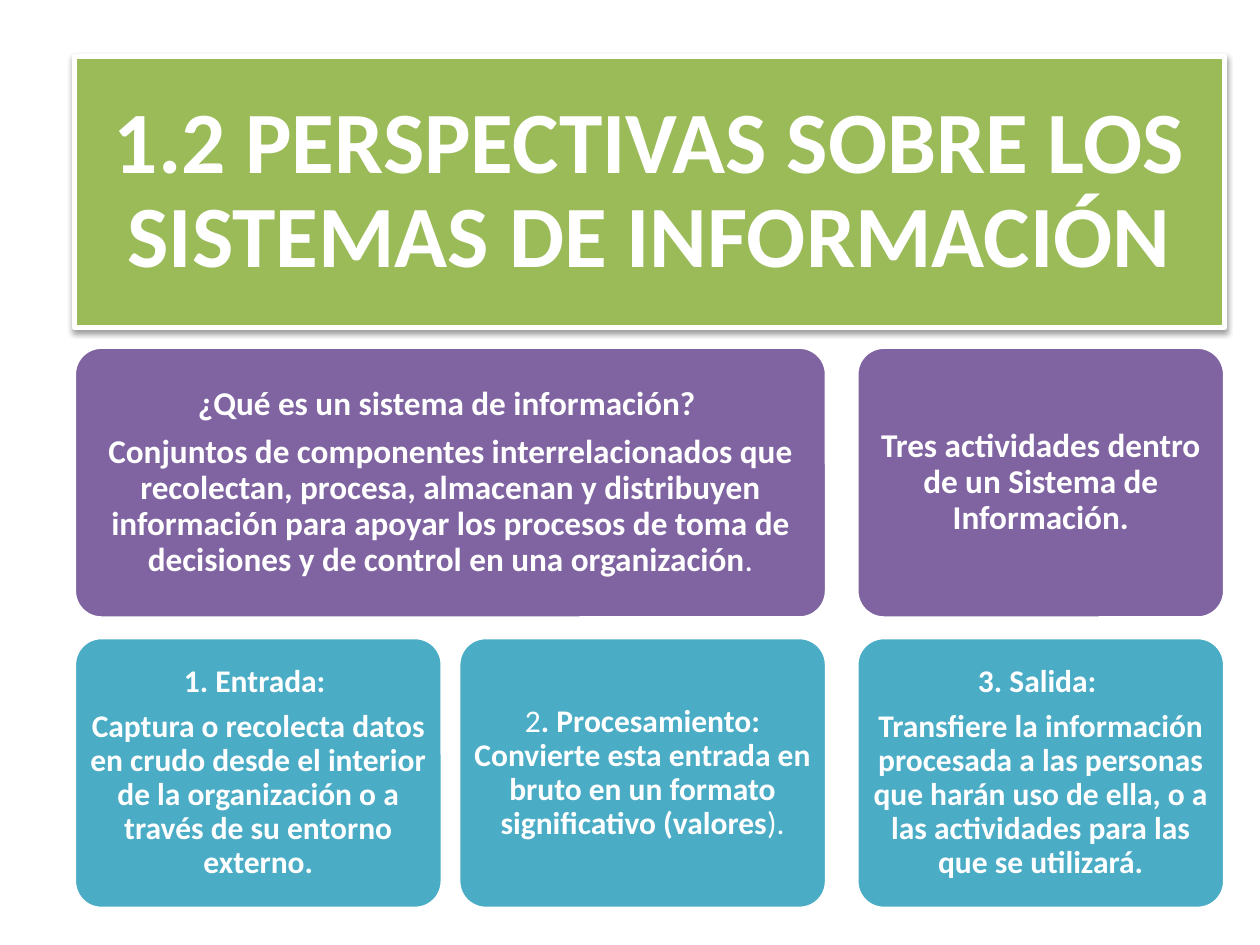
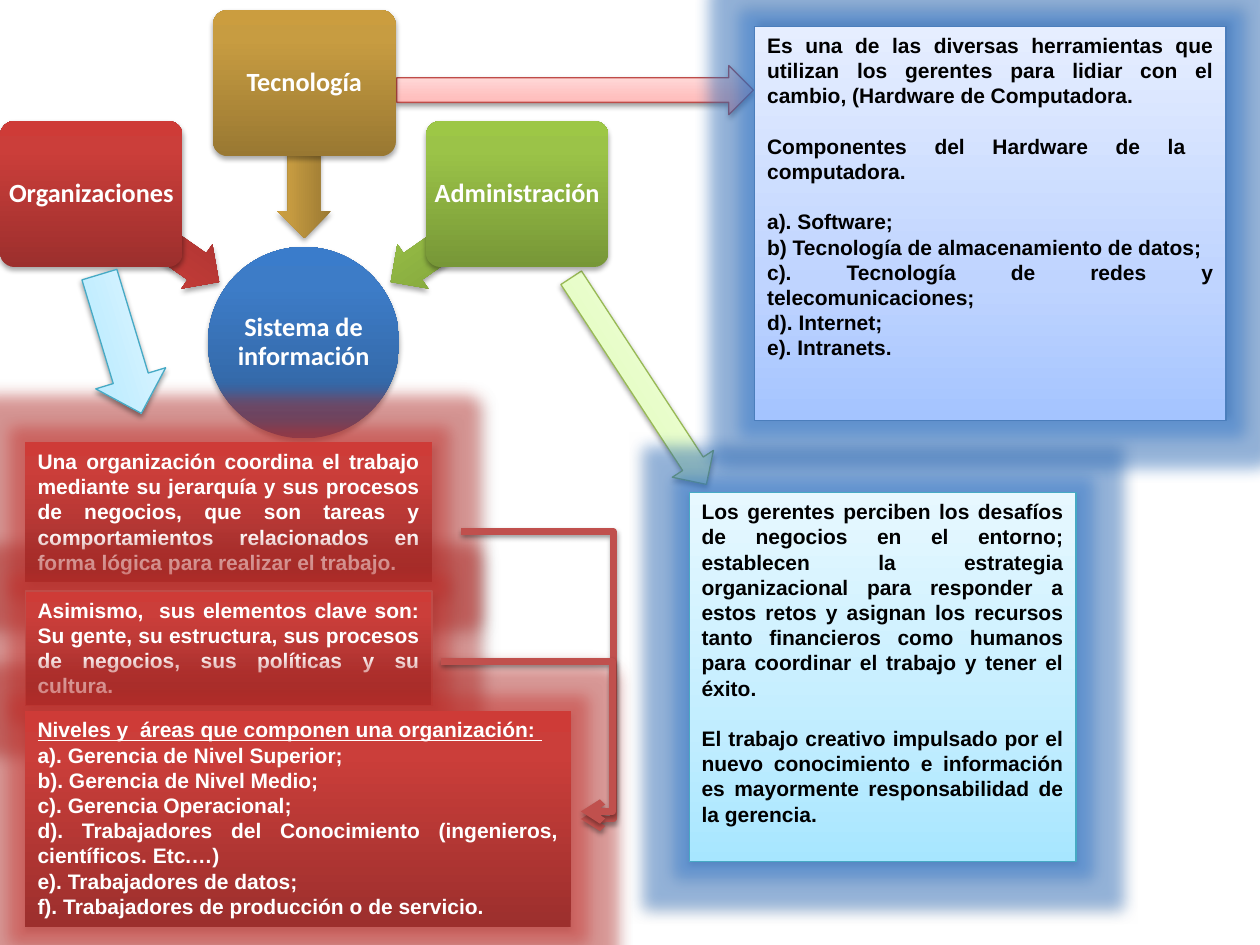
"""Build two slides on the perspectives of information systems."""
from dataclasses import dataclass

from lxml import etree
from pptx import Presentation
from pptx.dml.color import RGBColor
from pptx.enum.shapes import MSO_CONNECTOR, MSO_SHAPE
from pptx.enum.text import MSO_ANCHOR, MSO_AUTO_SIZE, PP_ALIGN
from pptx.oxml.ns import qn
from pptx.util import Inches, Pt

ROUNDED = MSO_SHAPE.ROUNDED_RECTANGLE
RECTANGLE = MSO_SHAPE.RECTANGLE
OVAL = MSO_SHAPE.OVAL
RIGHT_ARROW = MSO_SHAPE.RIGHT_ARROW
LEFT_ARROW = MSO_SHAPE.LEFT_ARROW
ELBOW = MSO_CONNECTOR.ELBOW
CENTER = PP_ALIGN.CENTER
JUSTIFY = PP_ALIGN.JUSTIFY
TOP = MSO_ANCHOR.TOP
MIDDLE = MSO_ANCHOR.MIDDLE
TITLE_ONLY_LAYOUT = 5
BLANK_LAYOUT = 6


@dataclass(frozen=True)
class Theme:
    """Colours, fonts, type sizes and effects of the deck."""

    white: str = "FFFFFF"
    black: str = "000000"
    green: str = "9BBB59"
    purple: str = "8064A2"
    teal: str = "4BACC6"
    red: str = "C0504D"
    red_line: str = "BF4C48"
    green_line: str = "98B955"
    teal_line: str = "46AAC5"
    blue_line: str = "4B7EBC"
    red_glow: str = "D2322D"
    blue_glow: str = "2F7BD8"
    strong_stops: tuple = (0, 80, 100)
    soft_stops: tuple = (0, 35, 100)
    strong_red: tuple = ("9C2F2D", "CB3E3A", "CE3B37")
    strong_gold: tuple = ("997832", "C79C41", "CB9D3F")
    strong_green: tuple = ("779737", "9BC348", "9DC746")
    strong_blue: tuple = ("2F5F99", "3D7CC7", "3A7CCB")
    soft_red: tuple = ("FFA6A5", "FFC0BF", "FFE7E7")
    soft_green: tuple = ("DAFDA7", "E4FCC2", "F5FFE7")
    soft_teal: tuple = ("A7E6FF", "C1EDFF", "E7F8FF")
    soft_blue: tuple = ("A4C4FF", "BFD4FF", "E6EEFF")
    soft_shadow: tuple = (38, 3.1, 1.6, 90)
    strong_shadow: tuple = (35, 3.1, 1.8, 90)
    lower_shadow: tuple = (40, 4, 3, 45)
    upper_shadow: tuple = (40, 4, 3, 315)
    glow_radius: float = 18
    heading_font: str = "Calibri"
    note_font: str = "Arial"
    title_size: int = 50
    question_size: int = 19
    activity_size: int = 18
    pillar_size: int = 15
    note_size: int = 12
    note_pitch: float = 14.4


class Deck:
    """Holds the theme and the current slide and draws each kind of element."""

    def __init__(self, theme):
        """Start an empty 10 by 7.5 inch presentation."""
        self.theme = theme
        self.presentation = Presentation()
        self.presentation.slide_width = Inches(10)
        self.presentation.slide_height = Inches(7.5)
        self.slide = None

    def new_slide(self, layout):
        """Add a slide and make it current."""
        layouts = self.presentation.slide_layouts
        self.slide = self.presentation.slides.add_slide(layouts[layout])

    def color(self, parent, value, alpha):
        """Append a partly transparent colour element."""
        color = etree.SubElement(parent, qn("a:srgbClr"), val=value)
        etree.SubElement(color, qn("a:alpha"), val=str(alpha * 1000))

    def effects(self, shape, shadow=None, glow=None):
        """Give a shape only the stated glow and shadow."""
        properties = shape._element.spPr
        effects = properties.find(qn("a:effectLst"))
        if effects is None:
            effects = etree.SubElement(properties, qn("a:effectLst"))
        if glow:
            radius = str(Pt(self.theme.glow_radius))
            self.color(etree.SubElement(effects, qn("a:glow"), rad=radius), glow, 40)
        if shadow:
            alpha, blur, distance, angle = shadow
            outer = etree.SubElement(
                effects, qn("a:outerShdw"), blurRad=str(Pt(blur)), dist=str(Pt(distance)),
                dir=str(angle * 60000), rotWithShape="0")
            self.color(outer, self.theme.black, alpha)

    def paint(self, shape, fill, line=None, width=0.75, shadow=None, glow=None):
        """Set fill (a colour or three gradient colours), outline and effects."""
        if isinstance(fill, str):
            shape.fill.solid()
            shape.fill.fore_color.rgb = RGBColor.from_string(fill)
        else:
            shape.fill.gradient()
            shape.fill.gradient_angle = 90
            stop_list = shape._element.spPr.find(qn("a:gradFill")).find(qn("a:gsLst"))
            for stop in list(stop_list):
                stop_list.remove(stop)
            soft = fill[-1].startswith(("F", "E"))
            positions = self.theme.soft_stops if soft else self.theme.strong_stops
            for position, value in zip(positions, fill):
                stop = etree.SubElement(stop_list, qn("a:gs"), pos=str(position * 1000))
                etree.SubElement(stop, qn("a:srgbClr"), val=value)
        if line:
            shape.line.color.rgb = RGBColor.from_string(line)
            shape.line.width = Pt(width)
        else:
            shape.line.fill.background()
        shape.shadow.inherit = False
        self.effects(shape, shadow, glow)

    def shape(self, kind, box, fill, rotation=0, adjustments=(), **style):
        """Draw a preset shape in a box given in inches."""
        shape = self.slide.shapes.add_shape(kind, *map(Inches, box))
        shape.rotation = rotation
        for index, value in enumerate(adjustments):
            shape.adjustments[index] = value
        self.paint(shape, fill, **style)
        return shape

    def frame(self, shape, anchor, horizontal, vertical):
        """Set wrapping, anchor and insets of a text frame."""
        frame = shape.text_frame
        frame.word_wrap = True
        frame.auto_size = MSO_AUTO_SIZE.NONE
        frame.vertical_anchor = anchor
        frame.margin_left = frame.margin_right = Inches(horizontal)
        frame.margin_top = frame.margin_bottom = Inches(vertical)
        return frame

    def font(self, run, name, size, color, bold=True):
        """Format one run."""
        run.font.name = name
        run.font.size = Pt(size)
        run.font.bold = bold
        run.font.color.rgb = RGBColor.from_string(color)

    def label(self, shape, paragraphs, size, margin=0):
        """Write centred white paragraphs, each a list of (text, bold) runs."""
        frame = self.frame(shape, MIDDLE, margin, margin)
        for index, runs in enumerate(paragraphs):
            paragraph = frame.add_paragraph() if index else frame.paragraphs[0]
            paragraph.alignment = CENTER
            paragraph.line_spacing = 0.9
            paragraph.space_after = Pt(round(size * 0.35))
            for text, bold in runs:
                run = paragraph.add_run()
                run.text = text
                self.font(run, self.theme.heading_font, size, self.theme.white, bold)

    def title(self, text, box):
        """Turn the title placeholder into a rounded banner."""
        theme = self.theme
        banner = self.slide.shapes.title
        banner.left, banner.top, banner.width, banner.height = map(Inches, box)
        geometry = etree.Element(qn("a:prstGeom"), prst="roundRect")
        guides = etree.SubElement(geometry, qn("a:avLst"))
        etree.SubElement(guides, qn("a:gd"), name="adj", fmla="val 10000")
        banner._element.spPr.find(qn("a:xfrm")).addnext(geometry)
        self.paint(banner, theme.green, theme.white, 3, theme.soft_shadow)
        self.label(banner, [[(text, True)]], theme.title_size, 0.15)

    def card(self, box, fill, paragraphs, size):
        """Draw a flat rounded card with centred text."""
        card = self.shape(ROUNDED, box, fill, adjustments=[0.1], line=self.theme.white, width=2)
        self.label(card, paragraphs, size, 0.02)

    def note(self, box, fill, color, paragraphs, gaps=(), **style):
        """Draw a glowing box of justified text with gaps before some paragraphs."""
        theme = self.theme
        note = self.shape(RECTANGLE, box, fill, **style)
        frame = self.frame(note, TOP, 0.1, 0.05)
        frame.text = "\n".join(paragraphs)
        for index, paragraph in enumerate(frame.paragraphs):
            paragraph.alignment = JUSTIFY
            paragraph.line_spacing = Pt(theme.note_pitch)
            if index in gaps:
                paragraph.space_before = Pt(theme.note_pitch)
            for run in paragraph.runs:
                self.font(run, theme.note_font, theme.note_size, color)
        return note

    def elbow(self, start, end, bend):
        """Draw a bent arrow whose middle leg lies at a share of its width."""
        points = map(Inches, (*start, *end))
        connector = self.slide.shapes.add_connector(ELBOW, *points)
        guides = connector._element.spPr.find(qn("a:prstGeom")).get_or_add_avLst()
        etree.SubElement(guides, qn("a:gd"), name="adj1", fmla=f"val {round(bend * 100000)}")
        connector.line.color.rgb = RGBColor.from_string(self.theme.red)
        connector.line.width = Pt(4)
        line = connector._element.spPr.find(qn("a:ln"))
        etree.SubElement(line, qn("a:tailEnd"), type="arrow")
        self.effects(connector, self.theme.soft_shadow)


def build_perspectives(deck):
    """Build the slide that defines an information system."""
    theme = deck.theme
    deck.new_slide(TITLE_ONLY_LAYOUT)
    left, middle, right = 0.59, 3.64, 6.8
    width, height = 2.92, 2.15
    top_row, question_row, activity_row = (0.45 + 2.305 * row for row in range(3))
    deck.title("1.2 PERSPECTIVAS SOBRE LOS SISTEMAS DE INFORMACIÓN",
               (left, top_row, right + width - left, height))
    definition = (
        "Conjuntos de componentes interrelacionados que recolectan, procesa, almacenan y "
        "distribuyen información para apoyar los procesos de toma de decisiones y de control "
        "en una organización")
    questions = [
        (left, middle + width - left, [[("¿Qué es un sistema de información? ", True)],
                                       [(definition, True), (".", False)]]),
        (right, width, [[("Tres actividades dentro de un Sistema de Información.", True)]]),
    ]
    for x, card_width, paragraphs in questions:
        deck.card((x, question_row, card_width, height), theme.purple, paragraphs,
                  theme.question_size)
    activities = [
        (left, [[("1. Entrada: ", True)],
                [("Captura o recolecta datos en crudo desde el interior de la organización "
                  "o a través de su entorno externo.", True)]]),
        (middle, [[("2", False),
                   (". Procesamiento: Convierte esta entrada en bruto en un formato "
                    "significativo (valores", True),
                   (").", False)]]),
        (right, [[("3. Salida: ", True)],
                 [("Transfiere la información procesada a las personas que harán uso de ella, "
                   "o a las actividades para las que se utilizará.", True)]]),
    ]
    for x, paragraphs in activities:
        deck.card((x, activity_row, width, height), theme.teal, paragraphs, theme.activity_size)


def build_dimensions(deck):
    """Build the slide on organizations, technology and management."""
    theme = deck.theme
    deck.new_slide(BLANK_LAYOUT)
    deck.shape(RIGHT_ARROW, (3.15, 0.52, 2.83, 0.39), theme.soft_red,
               line=theme.red_line, shadow=theme.soft_shadow)
    deck.shape(RIGHT_ARROW, (4.09, 2.83, 1.96, 0.39), theme.soft_green, 56.8,
               line=theme.green_line, shadow=theme.soft_shadow)
    system = deck.shape(OVAL, (1.65, 1.96, 1.52, 1.52), theme.strong_blue,
                        shadow=theme.strong_shadow)
    deck.label(system, [[("Sistema de información", True)]], theme.pillar_size)
    pillars = [
        ("Organizaciones", theme.strong_red, (0, 0.96), (0.62, 1.67), 215),
        ("Tecnología", theme.strong_gold, (1.69, 0.08), (1.8, 1.06), 270),
        ("Administración", theme.strong_green, (3.38, 0.96), (2.99, 1.67), 325),
    ]
    for name, fill, corner, arrow_corner, rotation in pillars:
        deck.shape(LEFT_ARROW, (*arrow_corner, 1.23, 0.43), fill, rotation, (0.6, 0.5),
                   shadow=theme.strong_shadow)
        pillar = deck.shape(ROUNDED, (*corner, 1.45, 1.16), fill, adjustments=[0.1],
                            shadow=theme.strong_shadow)
        deck.label(pillar, [[(name, True)]], theme.pillar_size)

    deck.note((0.2, 3.51, 3.23, 1.11), theme.strong_red, theme.white, [
        "Una organización coordina el trabajo mediante su jerarquía y sus procesos de negocios, "
        "que son tareas y comportamientos relacionados en forma lógica para realizar el trabajo.",
    ], shadow=theme.lower_shadow, glow=theme.red_glow)
    deck.shape(RIGHT_ARROW, (0.38, 2.44, 1.15, 0.58), theme.soft_teal, 73.2,
               line=theme.teal_line, shadow=theme.soft_shadow)
    deck.note((0.2, 4.69, 3.23, 0.91), theme.strong_red, theme.white, [
        "Asimismo,  sus elementos clave son: Su gente, su estructura, sus procesos de negocios, "
        "sus políticas y su cultura.",
    ], line=theme.red_line, shadow=theme.lower_shadow, glow=theme.red_glow)
    levels = deck.note((0.2, 5.64, 4.33, 1.72), theme.strong_red, theme.white, [
        "Niveles y  áreas que componen una organización: ",
        "a). Gerencia de Nivel Superior;",
        "b). Gerencia de Nivel Medio;",
        "c). Gerencia Operacional;",
        "d). Trabajadores del Conocimiento (ingenieros, científicos. Etc.…)",
        "e). Trabajadores de datos;",
        "f). Trabajadores de producción o de servicio.",
    ], shadow=theme.strong_shadow, glow=theme.red_glow)
    levels.text_frame.paragraphs[0].runs[0].font.underline = True
    deck.note((5.47, 3.91, 3.07, 2.93), theme.soft_teal, theme.black, [
        "Los gerentes perciben los desafíos de negocios en el entorno; establecen la estrategia "
        "organizacional para responder a estos retos y asignan los recursos tanto financieros "
        "como humanos para coordinar el trabajo y tener el éxito.",
        "El trabajo creativo impulsado por el nuevo conocimiento e información es mayormente "
        "responsabilidad de la gerencia.",
    ], gaps=[1], line=theme.teal_line, shadow=theme.soft_shadow, glow=theme.blue_glow)
    deck.elbow((3.66, 4.22), (4.61, 6.5), 1.27)
    deck.elbow((3.5, 5.25), (4.61, 6.44), 1.23)
    deck.note((5.99, 0.21, 3.74, 3.13), theme.soft_blue, theme.black, [
        "Es una de las diversas herramientas que utilizan los gerentes para lidiar con el "
        "cambio, (Hardware de Computadora.",
        "Componentes del Hardware de la  computadora.",
        "a). Software;",
        "b) Tecnología de almacenamiento de datos;",
        "c). Tecnología de redes y telecomunicaciones;",
        "d). Internet;",
        "e). Intranets.",
    ], gaps=[1, 2], line=theme.blue_line, shadow=theme.upper_shadow, glow=theme.blue_glow)


def main():
    """Build and save the deck."""
    deck = Deck(Theme())
    build_perspectives(deck)
    build_dimensions(deck)
    deck.presentation.save("out.pptx")


if __name__ == "__main__":
    main()
